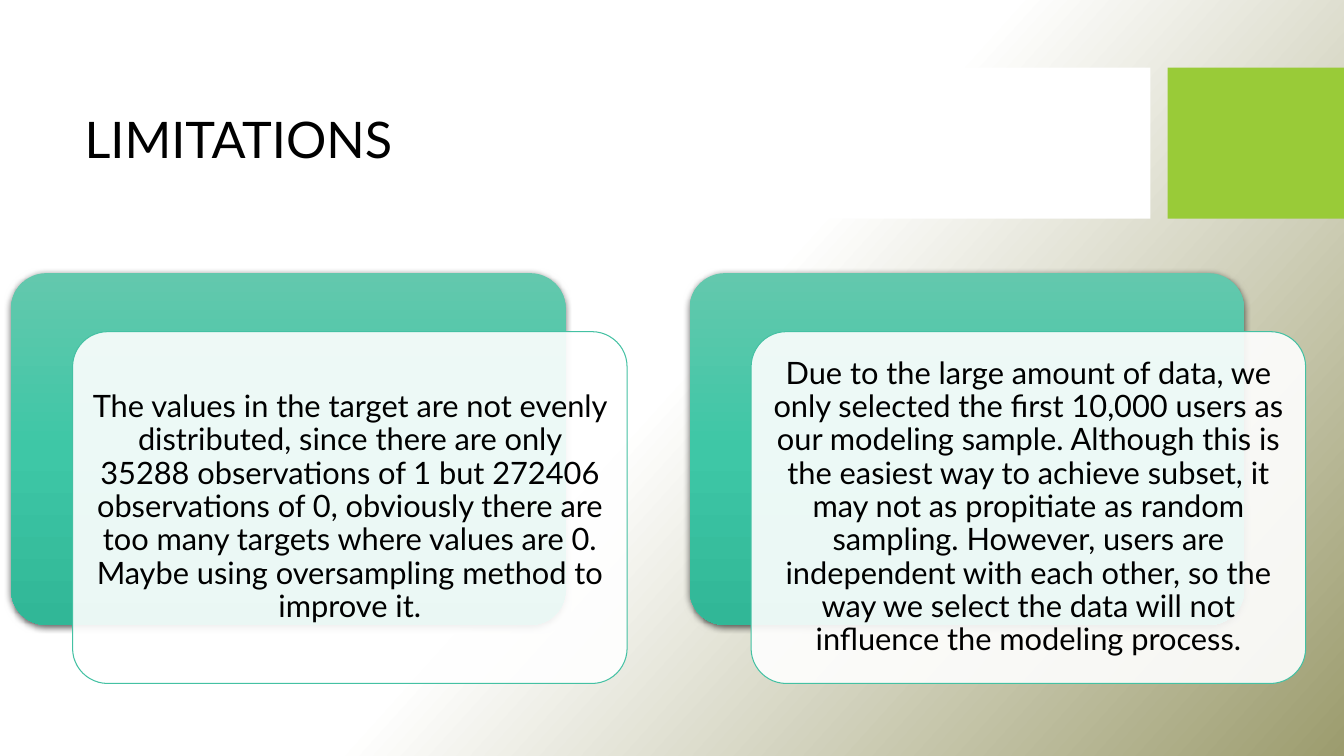
import copy
from dataclasses import dataclass

import pptx
import pptx.dml.color
import pptx.enum.shapes
import pptx.enum.text
import pptx.oxml
import pptx.oxml.ns
import pptx.util

PX_PER_INCH = 100


@dataclass(frozen=True)
class Theme:
    font: str = "Lato"
    title_size: int = 36
    body_size: int = 22
    text: str = "000000"
    panel: str = "FFFFFF"
    accent: str = "99CB38"
    card_line: str = "44C1A3"
    card_stops: tuple = ("63C8AD", "3EC7A6", "31B797")
    background_stops: tuple = ("FFFFFF", "FFFFFF", "9C9C6E")


THEME = Theme()

CARD_TEXTS = [
    "The values in the target are not evenly distributed, since there are only "
    "35288 observations of 1 but 272406 observations of 0, obviously there are "
    "too many targets where values are 0. Maybe using oversampling method to "
    "improve it.",
    "Due to the large amount of data, we only selected the first 10,000 users as "
    "our modeling sample. Although this is the easiest way to achieve subset, it "
    "may not as propitiate as random sampling. However, users are independent "
    "with each other, so the way we select the data will not influence the "
    "modeling process.",
]


def px(n):
    return pptx.util.Emu(n * 914400 // PX_PER_INCH)


def rgb(value):
    return pptx.dml.color.RGBColor.from_string(value)


def set_gradient(fill, element, colors, angle):
    fill.gradient()
    fill.gradient_angle = 360 - angle
    stops = element.find(".//" + pptx.oxml.ns.qn("a:gsLst"))
    stops.insert(1, copy.deepcopy(stops[0]))
    for i, (stop, color) in enumerate(zip(fill.gradient_stops, colors)):
        stop.position = i / (len(colors) - 1)
        stop.color.rgb = rgb(color)


def add_box(slide, kind, box, color=None):
    sp = slide.shapes.add_shape(kind, *map(px, box))
    sp.shadow.inherit = False
    sp.line.fill.background()
    if color:
        sp.fill.solid()
        sp.fill.fore_color.rgb = rgb(color)
    return sp


def add_rounded(slide, box, color=None):
    sp = add_box(slide, pptx.enum.shapes.MSO_SHAPE.ROUNDED_RECTANGLE, box, color)
    sp.adjustments[0] = 0.1
    return sp


def add_shadow(sp):
    effects = sp.element.spPr.find(pptx.oxml.ns.qn("a:effectLst"))
    effects.append(pptx.oxml.parse_xml(
        f'<a:outerShdw {pptx.oxml.ns.nsdecls("a")} blurRad="57150" dist="19050" '
        'dir="5400000" algn="ctr" rotWithShape="0"><a:srgbClr val="000000">'
        '<a:alpha val="63000"/></a:srgbClr></a:outerShdw>'))


def set_alpha(sp, percent):
    color = sp.element.spPr.find(
        pptx.oxml.ns.qn("a:solidFill") + "/" + pptx.oxml.ns.qn("a:srgbClr"))
    color.append(pptx.oxml.parse_xml(
        f'<a:alpha {pptx.oxml.ns.nsdecls("a")} val="{percent * 1000}"/>'))


def set_text(sp, text, size, align):
    tf = sp.text_frame
    tf.word_wrap = True
    tf.vertical_anchor = pptx.enum.text.MSO_ANCHOR.MIDDLE
    p = tf.paragraphs[0]
    p.text = text
    p.alignment = align
    p.line_spacing = 0.9
    p.font.name = THEME.font
    p.font.size = pptx.util.Pt(size)
    p.font.color.rgb = rgb(THEME.text)
    return tf


def add_title(slide, text, box):
    sp = slide.shapes.add_textbox(*map(px, box))
    set_text(sp, text, THEME.title_size, pptx.enum.text.PP_ALIGN.LEFT)


def add_card(slide, left, top, text):
    width, height = 550, 349
    back = add_rounded(slide, (left, top, width, height))
    set_gradient(back.fill, back.element, THEME.card_stops, 90)
    add_shadow(back)

    front = add_rounded(slide, (left + 61, top + 58, width, height), THEME.panel)
    set_alpha(front, 90)
    front.line.color.rgb = rgb(THEME.card_line)
    front.line.width = pptx.util.Pt(0.75)
    tf = set_text(front, text, THEME.body_size, pptx.enum.text.PP_ALIGN.CENTER)
    tf.margin_left = tf.margin_right = tf.margin_top = tf.margin_bottom = px(9)


def main():
    prs = pptx.Presentation()
    prs.slide_width, prs.slide_height = px(1333), px(750)
    slide = prs.slides.add_slide(prs.slide_layouts[6])
    set_gradient(slide.background.fill, slide.element, THEME.background_stops, 42)

    rect = pptx.enum.shapes.MSO_SHAPE.RECTANGLE
    add_box(slide, rect, (0, 67, 1141, 150), THEME.panel)
    add_box(slide, rect, (1158, 67, 175, 150), THEME.accent)
    add_title(slide, "LIMITATIONS", (74, 82, 1051, 118))
    for i, text in enumerate(CARD_TEXTS):
        add_card(slide, 11 + i * 673, 271, text)

    prs.save("out.pptx")


if __name__ == "__main__":
    main()
